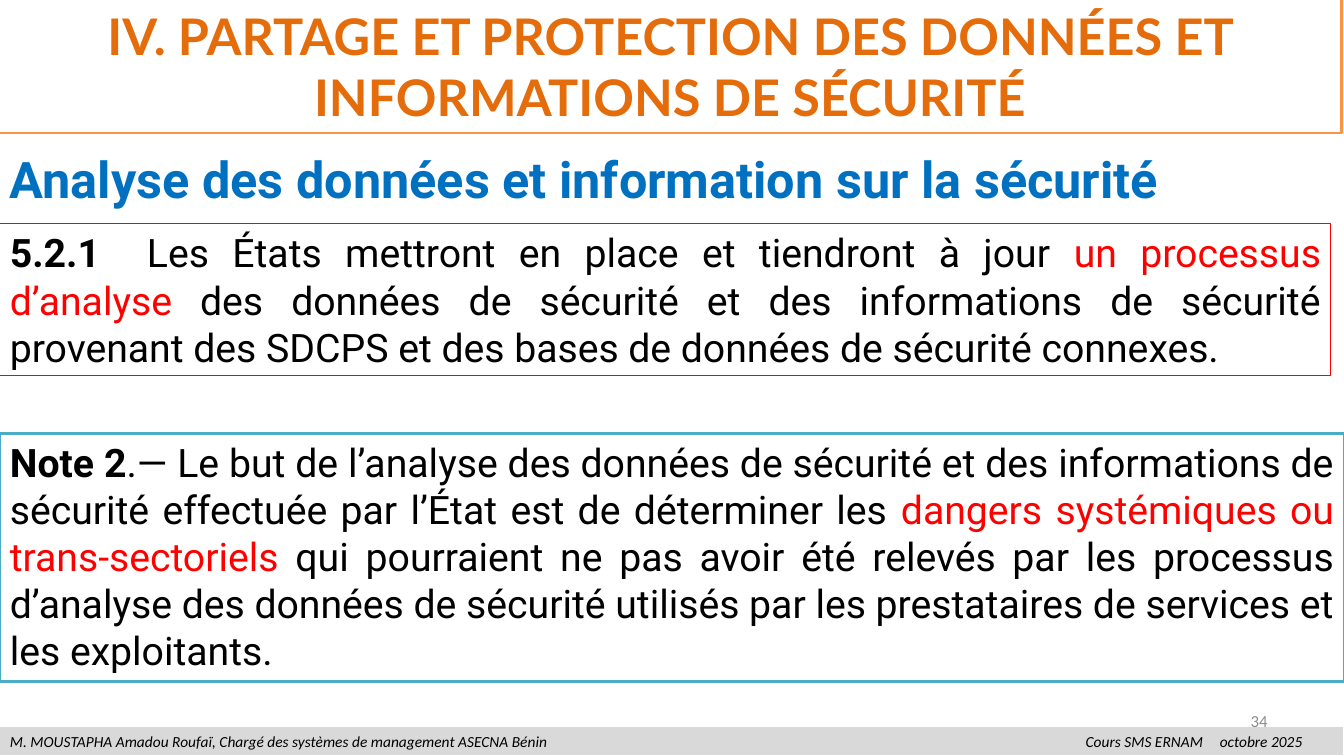
from dataclasses import dataclass

from pptx import Presentation
from pptx.dml.color import RGBColor as Color
from pptx.enum.shapes import MSO_SHAPE as Shape
from pptx.enum.text import MSO_ANCHOR as Anchor, PP_ALIGN as Align
from pptx.oxml.ns import qn
from pptx.util import Inches, Pt
from lxml import etree


@dataclass(frozen=True)
class Theme:
    black: str = "000000"
    white: str = "FFFFFF"
    red: str = "FF0000"
    blue: str = "0070C0"
    teal: str = "4BACC6"
    orange: str = "F79646"
    dark_orange: str = "E46C0A"
    band: str = "D9D9D9"
    grey: str = "8C8C8C"
    heading_size: int = 36
    body_size: int = 28
    number_size: int = 12
    footer_size: int = 11
    title_font: str = "Lato"
    body_font: str = "Roboto"
    small_font: str = "Calibri"


THEME = Theme()
PAGE_WIDTH, PAGE_HEIGHT = 13.33, 7.5


def add_panel(page, box, line, line_width, fill=None):
    panel = page.shapes.add_shape(Shape.RECTANGLE, *map(Inches, box))
    panel.shadow.inherit = False
    if fill:
        panel.fill.solid()
        panel.fill.fore_color.rgb = Color.from_string(fill)
    else:
        panel.fill.background()
    panel.line.color.rgb = Color.from_string(line)
    panel.line.width = Pt(line_width)
    return panel


def write(shape, spans, size, font, align=Align.LEFT, anchor=Anchor.TOP,
          italic=False, tabs=()):
    """Fill a shape with one paragraph of (text, colour, bold) spans."""
    frame = shape.text_frame
    frame.word_wrap = True
    frame.vertical_anchor = anchor
    para = frame.paragraphs[0]
    para.alignment = align
    if tabs:
        tab_list = etree.SubElement(para._p.get_or_add_pPr(), qn("a:tabLst"))
        for position in tabs:
            etree.SubElement(tab_list, qn("a:tab"),
                             pos=str(Inches(position)), algn="l")
    for text, color, bold in spans:
        span = para.add_run()
        span.text = text
        span.font.name = font
        span.font.size = Pt(size)
        span.font.bold = bold
        span.font.italic = italic
        span.font.color.rgb = Color.from_string(color)


def add_footer(page, box, author, course, date, number):
    left, top, width, height = box
    band = add_panel(page, box, THEME.white, 0.75, THEME.band)
    write(band, [(f"{author}\t{course}\t{date}", THEME.black, False)],
          THEME.footer_size, THEME.small_font, italic=True, tabs=(10.67, 12))
    # Page number, just above the band
    number_box = page.shapes.add_textbox(
        Inches(left + 9.56), Inches(top - 0.26), Inches(3.11), Inches(0.4))
    write(number_box, [(number, THEME.grey, False)], THEME.number_size,
          THEME.small_font, Align.RIGHT, Anchor.MIDDLE)


def add_title(page, box, text):
    panel = add_panel(page, box, THEME.orange, 2, THEME.white)
    write(panel, [(text, THEME.dark_orange, True)], THEME.heading_size,
          THEME.title_font, Align.CENTER, Anchor.MIDDLE)


def add_subtitle(page, box, text):
    heading = page.shapes.add_textbox(*map(Inches, box))
    write(heading, [(text, THEME.blue, True)], THEME.heading_size,
          THEME.body_font)


def add_clause(page, box, spans, line, line_width, fill=None, tabs=()):
    panel = add_panel(page, box, line, line_width, fill)
    write(panel, spans, THEME.body_size, THEME.body_font, Align.JUSTIFY,
          tabs=tabs)


def main():
    deck = Presentation()
    deck.slide_width = Inches(PAGE_WIDTH)
    deck.slide_height = Inches(PAGE_HEIGHT)
    page = deck.slides.add_slide(deck.slide_layouts[6])

    # Footer and page number
    add_footer(page, (0, 7.21, PAGE_WIDTH, 0.29),
               "M. MOUSTAPHA Amadou Roufaï, Chargé des systèmes de "
               "management ASECNA Bénin",
               "Cours SMS ERNAM", "octobre 2025", "34")

    # Headings
    add_title(page, (-0.02, -0.01, PAGE_WIDTH, 1.33),
              "IV. PARTAGE ET PROTECTION DES DONNÉES ET "
              "INFORMATIONS DE SÉCURITÉ")
    add_subtitle(page, (0, 1.42, 13.31, 0.71),
                 "Analyse des données et information sur la sécurité")

    # Requirement
    add_clause(page, (0, 2.22, 13.2, 1.51), [
        ("5.2.1", THEME.black, True),
        ("\tLes États mettront en place et tiendront à jour ",
         THEME.black, False),
        ("un processus d’analyse", THEME.red, False),
        (" des données de sécurité et des informations de sécurité provenant "
         "des SDCPS et des bases de données de sécurité connexes.",
         THEME.black, False),
    ], THEME.red, 0.75, tabs=(1.36,))

    # Explanatory note
    add_clause(page, (0, 4.3, PAGE_WIDTH, 2.46), [
        ("Note 2", THEME.black, True),
        (".— Le but de l’analyse des données de sécurité et des informations "
         "de sécurité effectuée par l’État est de déterminer les ",
         THEME.black, False),
        ("dangers systémiques ou trans-sectoriels ", THEME.red, False),
        ("qui pourraient ne pas avoir été relevés par les processus d’analyse "
         "des données de sécurité utilisés par les prestataires de services "
         "et les exploitants.", THEME.black, False),
    ], THEME.teal, 2, THEME.white)

    deck.save("out.pptx")


if __name__ == "__main__":
    main()
